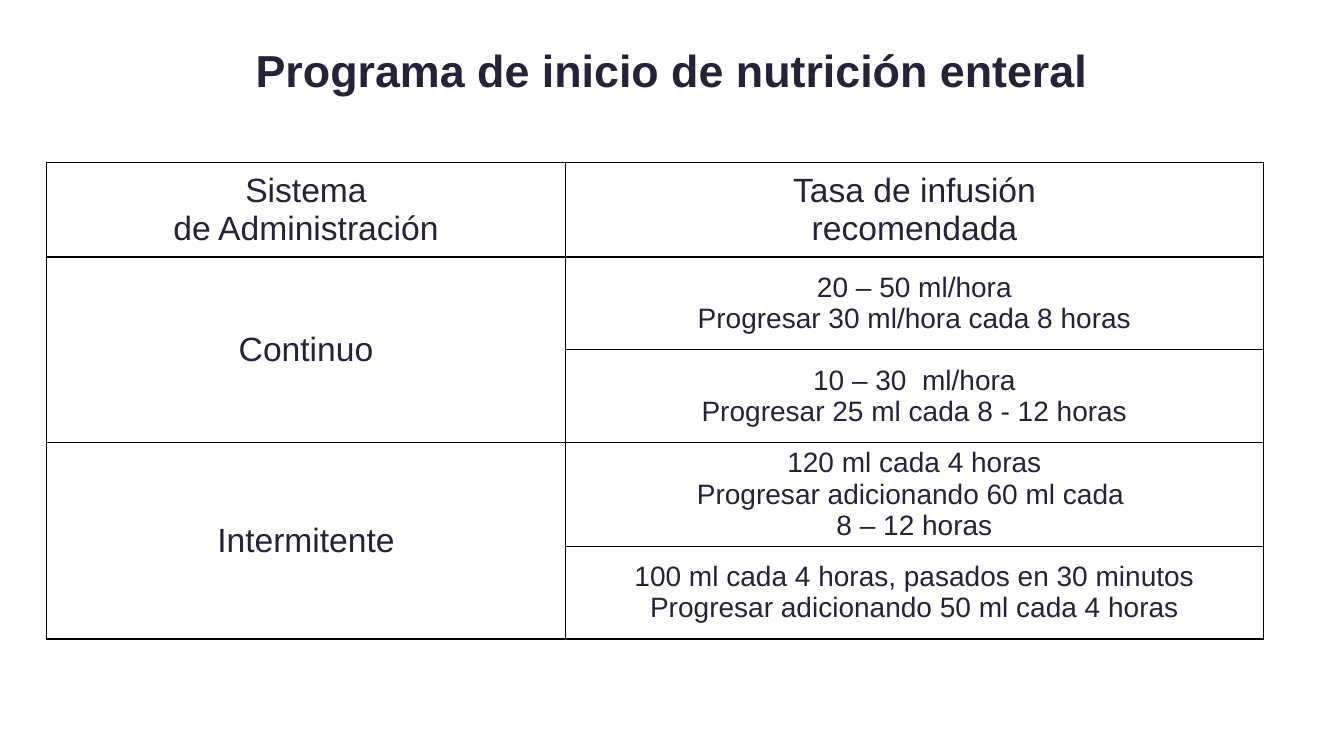
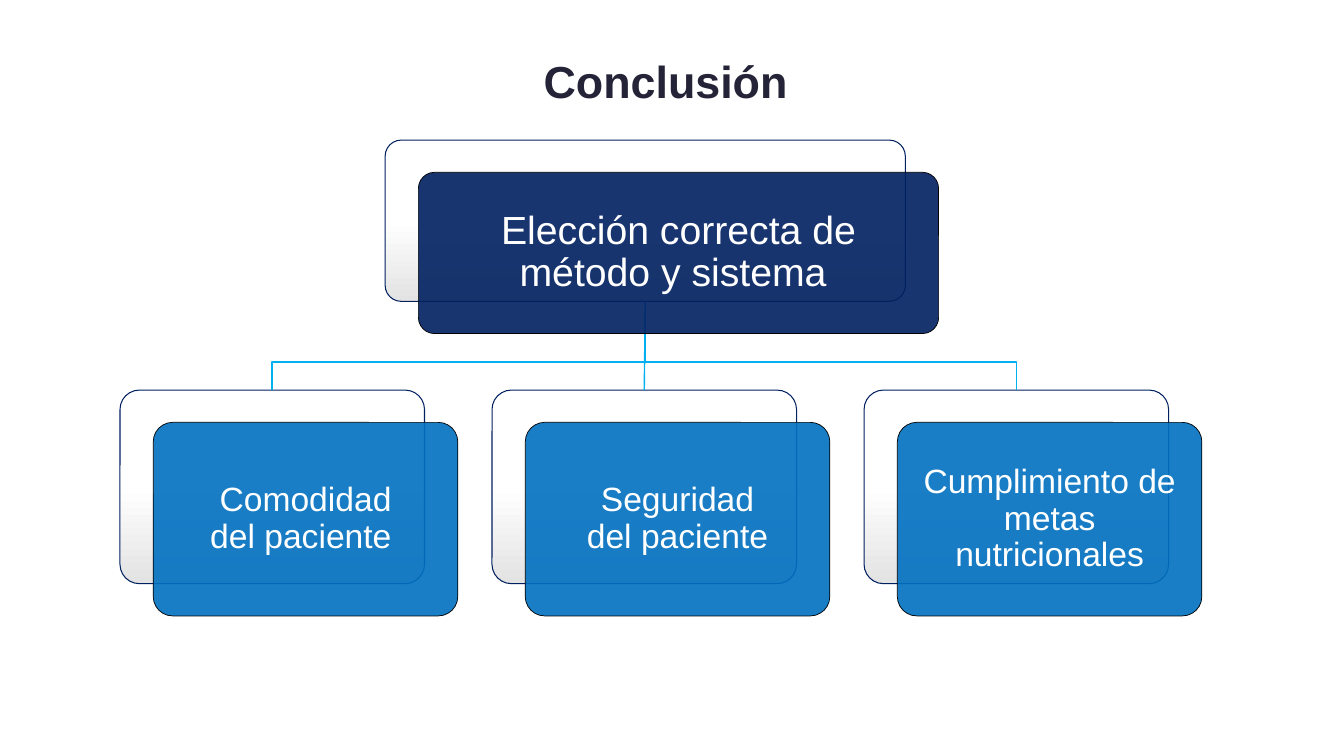
from dataclasses import dataclass

from lxml import etree
from pptx import Presentation
from pptx.dml.color import RGBColor
from pptx.enum.shapes import MSO_CONNECTOR, MSO_SHAPE
from pptx.enum.text import MSO_ANCHOR, PP_ALIGN
from pptx.oxml import parse_xml
from pptx.oxml.ns import nsdecls, qn
from pptx.util import Inches, Pt

CENTER = PP_ALIGN.CENTER
MIDDLE = MSO_ANCHOR.MIDDLE
ROUNDED = MSO_SHAPE.ROUNDED_RECTANGLE
STRAIGHT = MSO_CONNECTOR.STRAIGHT
TITLE_ONLY = 5
TOP, BOTTOM = 0, 2


@dataclass(frozen=True)
class Theme:
    font: str = "Arial"
    ink: RGBColor = RGBColor(0x24, 0x23, 0x37)
    white: RGBColor = RGBColor(0xFF, 0xFF, 0xFF)
    black: RGBColor = RGBColor(0, 0, 0)
    gray: RGBColor = RGBColor(0xE3, 0xE3, 0xE3)
    navy: RGBColor = RGBColor(0x00, 0x20, 0x60)
    blue: RGBColor = RGBColor(0x00, 0x70, 0xC0)
    cyan: RGBColor = RGBColor(0x00, 0xB0, 0xF0)
    title_size: int = 32
    lead_size: int = 28
    label_size: int = 24
    detail_size: int = 20


theme = Theme()


def write(text_frame, paragraphs, size, color, bold=False, spacing=1.0):
    text_frame.word_wrap = True
    for index, text in enumerate(paragraphs):
        paragraph = text_frame.paragraphs[0] if index == 0 else text_frame.add_paragraph()
        paragraph.alignment = CENTER
        paragraph.line_spacing = spacing
        for line_index, line in enumerate(text.split("\n")):
            if line_index:
                paragraph.add_line_break()
            run = paragraph.add_run()
            run.text = line
            run.font.name = theme.font
            run.font.size = Pt(size)
            run.font.bold = bold
            run.font.color.rgb = color


def add_titled_slide(text, top, bottom_margin):
    slide = presentation.slides.add_slide(presentation.slide_layouts[TITLE_ONLY])
    title = slide.shapes.title
    title.left, title.top = Inches(0), Inches(top)
    title.width, title.height = presentation.slide_width, Inches(1.5)
    title.text_frame.vertical_anchor = MIDDLE
    title.text_frame.margin_bottom = Inches(bottom_margin)
    write(title.text_frame, [text], theme.title_size, theme.ink, True, 0.9)
    return slide


presentation = Presentation()
presentation.slide_width = Inches(13.33)
presentation.slide_height = Inches(7.5)

program_slide = add_titled_slide("Programa de inicio de nutrición enteral", 0.11, 0.33)
column_widths = [5.15, 6.92]
row_heights = [0.94, 0.92, 0.92, 1, 0.92]
table = program_slide.shapes.add_table(
    len(row_heights), len(column_widths), Inches(0.46), Inches(1.61),
    Inches(sum(column_widths)), Inches(sum(row_heights)),
).table
table.first_row = False
table.horz_banding = False
for column, width in zip(table.columns, column_widths):
    column.width = Inches(width)
for row, height in zip(table.rows, row_heights):
    row.height = Inches(height)
for first_row in (1, 3):
    table.cell(first_row, 0).merge(table.cell(first_row + 1, 0))

for cell in table.iter_cells():
    cell.vertical_anchor = MIDDLE
    cell.margin_left = cell.margin_right = Inches(0.13)
    cell.margin_top = cell.margin_bottom = Inches(0.05)
    properties = cell._tc.get_or_add_tcPr()
    for side in ("lnL", "lnR", "lnT", "lnB"):
        properties.append(parse_xml(
            f'<a:{side} {nsdecls("a")} w="{Pt(1)}"><a:solidFill>'
            f'<a:srgbClr val="{theme.black}"/></a:solidFill></a:{side}>'
        ))
    cell.fill.background()

labels = {
    (0, 0): "Sistema\nde Administración",
    (0, 1): "Tasa de infusión\nrecomendada",
    (1, 0): "Continuo",
    (3, 0): "Intermitente",
}
for (row_index, column_index), text in labels.items():
    write(table.cell(row_index, column_index).text_frame, [text], theme.label_size, theme.ink)

rates = [
    ["20 – 50 ml/hora", "Progresar 30 ml/hora cada 8 horas"],
    ["10 – 30  ml/hora", "Progresar 25 ml cada 8 - 12 horas"],
    ["120 ml cada 4 horas", "Progresar adicionando 60 ml cada ", "8 – 12 horas"],
    ["100 ml cada 4 horas, pasados en 30 minutos", "Progresar adicionando 50 ml cada 4 horas"],
]
for row_index, paragraphs in enumerate(rates, start=1):
    write(table.cell(row_index, 1).text_frame, paragraphs, theme.detail_size, theme.ink)

conclusion_slide = add_titled_slide("Conclusión ", 0.08, 0.05)
shapes = conclusion_slide.shapes
goals = ["Comodidad\ndel paciente ", "Seguridad\ndel paciente", "Cumplimiento de metas nutricionales"]
cards = [("Elección correcta de método y sistema ", 3.82, 1.39, 5.16, 1.6,
          theme.navy, theme.lead_size, 0.17)]
for index, goal in enumerate(goals):
    cards.append((goal, 1.19 + 3.69 * index, 3.87, 3.02, 1.92,
                  theme.blue, theme.label_size, 0.15))

backings = []
for text, left, top, width, height, color, size, margin in cards:
    backing = shapes.add_shape(ROUNDED, Inches(left), Inches(top), Inches(width), Inches(height))
    backing.adjustments[0] = 0.1
    backing.shadow.inherit = False
    backing.fill.gradient()
    backing.fill.gradient_angle = 270
    stops = backing.fill.gradient_stops
    for stop, position, stop_color in zip(stops, (0.5, 1.0), (theme.white, theme.gray)):
        stop.position = position
        stop.color.rgb = stop_color
    backing.line.color.rgb = theme.navy
    backing.line.width = Pt(0.75)
    backings.append(backing)

root, left_goal, middle_goal, right_goal = backings
root_center = root.left + root.width // 2
root_bottom = root.top + root.height
for goal_backing in (left_goal, right_goal):
    goal_center = goal_backing.left + goal_backing.width // 2
    builder = shapes.build_freeform(root_center, root_bottom)
    builder.add_line_segments([
        (root_center, Inches(3.59)),
        (goal_center, Inches(3.59)),
        (goal_center, goal_backing.top),
    ], close=False)
    branch = builder.convert_to_shape()
    branch.shadow.inherit = False
    branch.fill.background()
    branch.line.color.rgb = theme.cyan
    branch.line.width = Pt(1)

trunk = shapes.add_connector(STRAIGHT, root_center, root_bottom, root_center, middle_goal.top)
trunk.begin_connect(root, BOTTOM)
trunk.end_connect(middle_goal, TOP)
trunk.line.color.rgb = theme.cyan
trunk.line.width = Pt(1)
etree.SubElement(trunk._element.spPr, qn("a:effectLst"))

for text, left, top, width, height, color, size, margin in cards:
    card = shapes.add_shape(
        ROUNDED, Inches(left + 0.33), Inches(top + 0.32), Inches(width), Inches(height))
    card.adjustments[0] = 0.1
    card.shadow.inherit = False
    card.fill.solid()
    card.fill.fore_color.rgb = color
    color_element = card._element.spPr.find(qn("a:solidFill")).find(qn("a:srgbClr"))
    etree.SubElement(color_element, qn("a:alpha"), val="90000")
    card.line.color.rgb = theme.black
    card.line.width = Pt(0.5)
    frame = card.text_frame
    frame.vertical_anchor = MIDDLE
    frame.margin_left = frame.margin_right = Inches(margin)
    frame.margin_top = frame.margin_bottom = Inches(margin)
    write(frame, [text], size, theme.white, spacing=0.9)

presentation.save("out.pptx")
